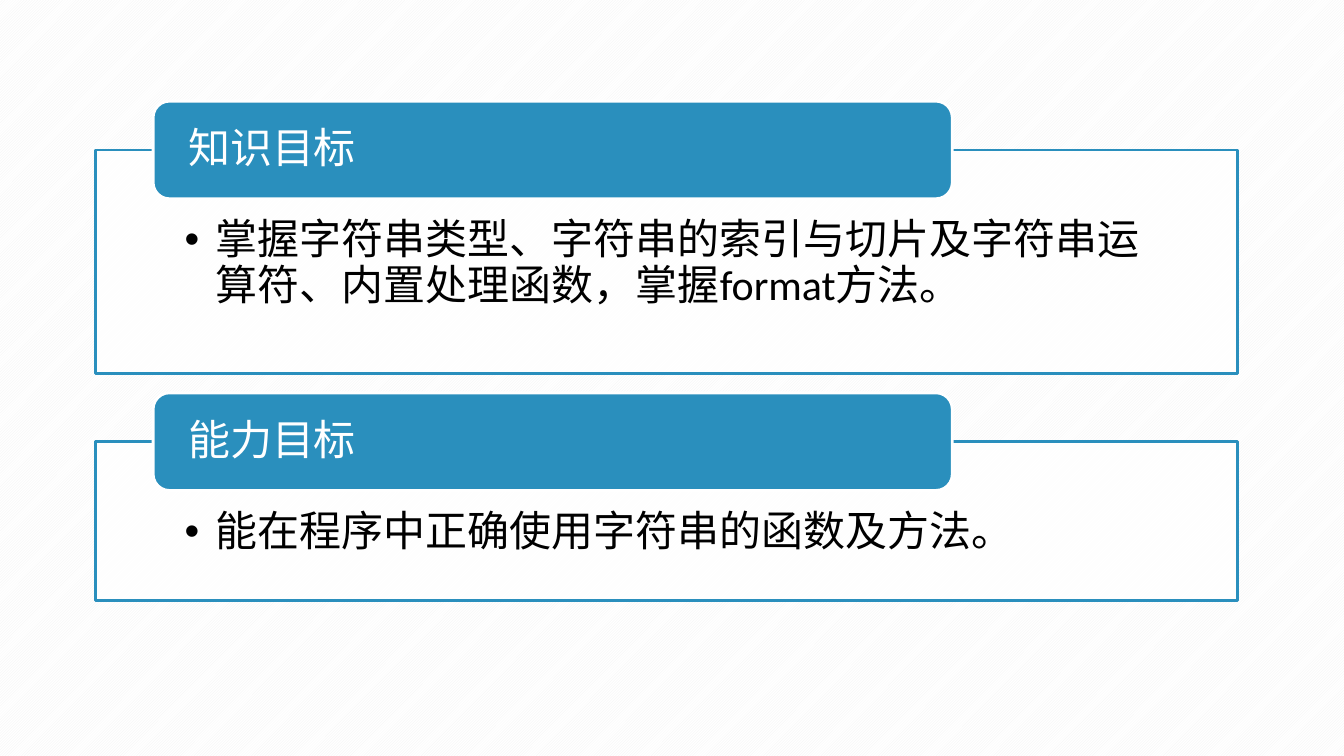
"""Build a slide with two learning goals, each a titled panel."""
from lxml.etree import SubElement
from pptx import Presentation
from pptx.dml.color import RGBColor
from pptx.enum.dml import MSO_PATTERN
from pptx.enum.shapes import MSO_SHAPE
from pptx.enum.text import MSO_ANCHOR, MSO_AUTO_SIZE, PP_ALIGN
from pptx.oxml.ns import qn
from pptx.util import Cm, Pt

BLUE, WHITE, BLACK, GREY = "2A8FBD", "FFFFFF", "000000", "F2F2F2"
LEFT, WIDTH, TOP, GAP = 2.41, 28.78, 3.78, 1.71
TAB_LEFT, TAB_WIDTH, TAB_HEIGHT = 3.86, 20.14, 2.46
GOALS = [
    ("知识目标", "掌握字符串类型、字符串的索引与切片及字符串运算符、内置处理函数，掌握format方法。", 5.64),
    ("能力目标", "能在程序中正确使用字符串的函数及方法。", 4.01),
]


def rgb(code):
    return RGBColor.from_string(code)


def apply(target, values):
    for name, value in values.items():
        setattr(target, name, value)


class Deck:
    frame = dict(word_wrap=True, auto_size=MSO_AUTO_SIZE.NONE)
    para = dict(line_spacing=0.9, space_before=Pt(0), alignment=PP_ALIGN.LEFT)
    font = dict(name="Calibri", size=Pt(30), bold=False)

    def __init__(self, prs):
        self.s = prs.slides.add_slide(prs.slide_layouts[3])
        title = self.s.shapes.title.element
        title.getparent().remove(title)

    def background(self, fore, back):
        fill = self.s.background.fill
        fill.patterned()
        fill.pattern = MSO_PATTERN.LIGHT_UPWARD_DIAGONAL
        fill.fore_color.rgb, fill.back_color.rgb = rgb(fore), rgb(back)

    def paint(self, sp, fill, line):
        sp.fill.solid()
        sp.fill.fore_color.rgb = rgb(fill)
        sp.line.color.rgb = rgb(line)
        sp.line.width = Pt(2)

    def label(self, sp, text, color, anchor, insets):
        tf = sp.text_frame
        sides = ("margin_left", "margin_top", "margin_right", "margin_bottom")
        apply(tf, self.frame | dict(vertical_anchor=anchor))
        apply(tf, dict(zip(sides, map(Cm, insets))))
        p = tf.paragraphs[0]
        apply(p, self.para)
        r = p.add_run()
        r.text = text
        apply(r.font, self.font)
        r.font.color.rgb = rgb(color)
        return p

    def panel(self, sp, top, height, text):
        box = (LEFT, top, WIDTH, height)
        apply(sp, dict(zip(("left", "top", "width", "height"), map(Cm, box))))
        self.paint(sp, WHITE, BLUE)
        color = sp.element.spPr.find(qn("a:solidFill")).find(qn("a:srgbClr"))
        SubElement(color, qn("a:alpha"), val="90000")
        p = self.label(sp, text, BLACK, MSO_ANCHOR.TOP, (2.24, 1.73, 2.24, 0.58))
        pPr = p._p.get_or_add_pPr()
        pPr.set("marL", str(Cm(0.79)))
        pPr.set("indent", str(-Cm(0.79)))
        SubElement(pPr, qn("a:buChar"), char="•")

    def tab(self, panel_top, text):
        box = (TAB_LEFT, panel_top - TAB_HEIGHT / 2, TAB_WIDTH, TAB_HEIGHT)
        sp = self.s.shapes.add_shape(MSO_SHAPE.ROUNDED_RECTANGLE, *map(Cm, box))
        sp.shadow.inherit = False
        self.paint(sp, BLUE, WHITE)
        self.label(sp, text, WHITE, MSO_ANCHOR.MIDDLE, (0.76, 0, 0.76, 0))


def main():
    prs = Presentation()
    prs.slide_width, prs.slide_height = Cm(33.87), Cm(19.05)
    deck = Deck(prs)
    deck.background(GREY, WHITE)
    top = TOP
    for sp, (name, text, height) in zip(list(deck.s.placeholders), GOALS):
        deck.panel(sp, top, height, text)
        deck.tab(top, name)
        top += height + GAP
    prs.save("out.pptx")


if __name__ == "__main__":
    main()
